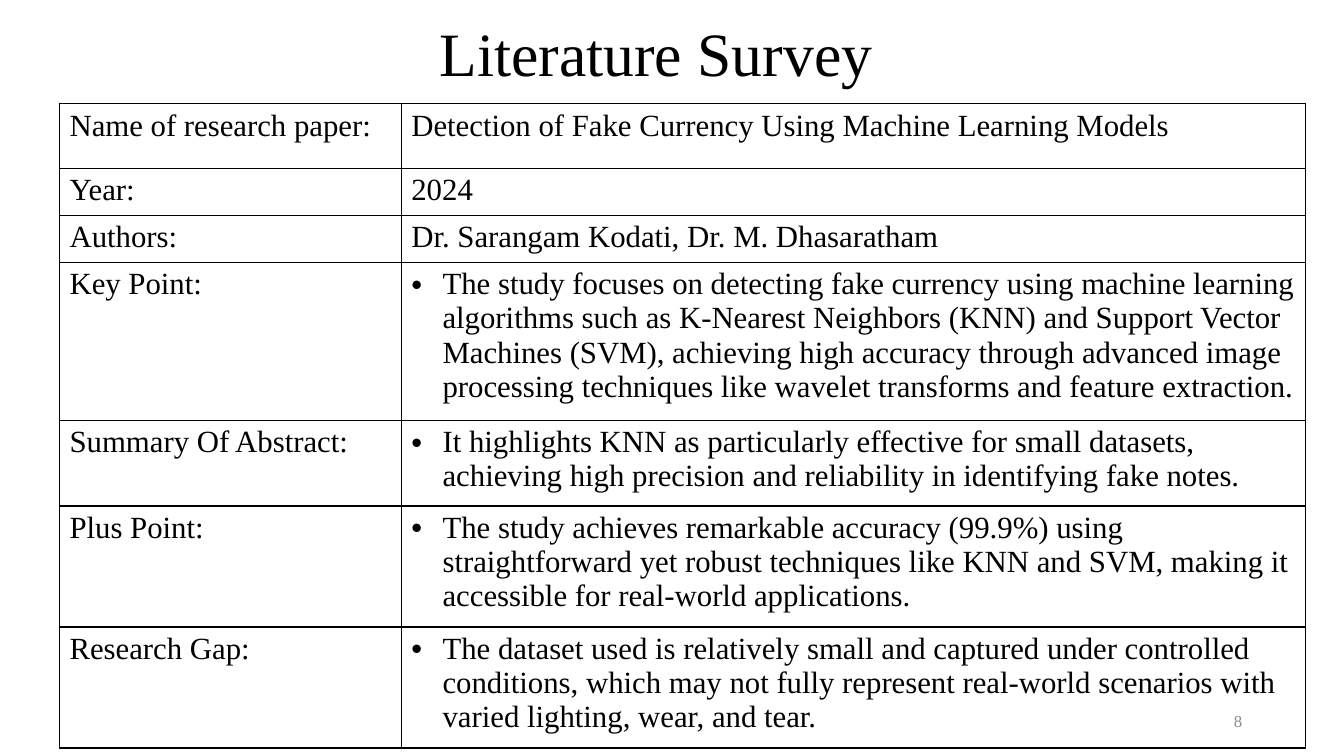
import pptx
import pptx.dml.color
import pptx.enum.text
import pptx.oxml.ns
import pptx.util
from lxml import etree

Inches = pptx.util.Inches
ALIGN = pptx.enum.text.PP_ALIGN
COLUMN_WIDTHS = [3.39, 8.97]
BULLET_INDENT = 0.31

SURVEY_ROWS = [
    (0.64, "Name of research paper:", "Detection of Fake Currency Using Machine Learning Models", False),
    (0.46, "Year:", "2024", False),
    (0.46, "Authors:", "Dr. Sarangam Kodati, Dr. M. Dhasaratham", False),
    (1.54, "Key Point:",
     "The study focuses on detecting fake currency using machine learning algorithms such as "
     "K-Nearest Neighbors (KNN) and Support Vector Machines (SVM), achieving high accuracy through "
     "advanced image processing techniques like wavelet transforms and feature extraction.", True),
    (0.85, "Summary Of Abstract:",
     "It highlights KNN as particularly effective for small datasets, achieving high precision and "
     "reliability in identifying fake notes.", True),
    (1.18, "Plus Point:",
     "The study achieves remarkable accuracy (99.9%) using straightforward yet robust techniques "
     "like KNN and SVM, making it accessible for real-world applications.", True),
    (1.18, "Research Gap:",
     "The dataset used is relatively small and captured under controlled conditions, which may not "
     "fully represent real-world scenarios with varied lighting, wear, and tear.", True),
]


def color(value):
    return pptx.dml.color.RGBColor.from_string(value)


def add_element(parent, tag, **attributes):
    return etree.SubElement(parent, pptx.oxml.ns.qn(tag), attributes)


class SlideBuilder:
    font_name = "Times New Roman"
    ink = "000000"

    def __init__(self, slide):
        self.slide = slide

    def style(self, paragraph, size, ink):
        for run in paragraph.runs:
            run.font.name = self.font_name
            run.font.size = pptx.util.Pt(size)
            run.font.color.rgb = color(ink)

    def text(self, content, left, top, width, height, size, align, ink=ink, spacing=1.0):
        shape = self.slide.shapes.add_textbox(Inches(left), Inches(top), Inches(width), Inches(height))
        frame = shape.text_frame
        frame.word_wrap = True
        frame.vertical_anchor = pptx.enum.text.MSO_ANCHOR.MIDDLE
        frame.text = content
        paragraph = frame.paragraphs[0]
        paragraph.alignment = align
        paragraph.line_spacing = spacing
        self.style(paragraph, size, ink)

    def bullet(self, paragraph):
        properties = paragraph._p.get_or_add_pPr()
        properties.set("marL", str(Inches(BULLET_INDENT)))
        properties.set("indent", str(-Inches(BULLET_INDENT)))
        add_element(properties, "a:buFont", typeface="Arial")
        add_element(properties, "a:buChar", char="•")

    def borders(self, cell):
        properties = cell._tc.get_or_add_tcPr()
        for position, side in enumerate(("a:lnL", "a:lnR", "a:lnT", "a:lnB")):
            line = add_element(properties, side, w=str(pptx.util.Pt(1)))
            fill = add_element(line, "a:solidFill")
            add_element(fill, "a:srgbClr", val=self.ink)
            properties.insert(position, line)

    def cell(self, cell, content, bulleted):
        cell.fill.background()
        self.borders(cell)
        cell.text_frame.text = content
        paragraph = cell.text_frame.paragraphs[0]
        if bulleted:
            self.bullet(paragraph)
        self.style(paragraph, 22, self.ink)

    def table(self, rows, left, top):
        height = sum(row[0] for row in rows)
        frame = self.slide.shapes.add_table(
            len(rows), len(COLUMN_WIDTHS), Inches(left), Inches(top),
            Inches(sum(COLUMN_WIDTHS)), Inches(height))
        table = frame.table
        table.first_row = False
        table.horz_banding = False
        for column, width in zip(table.columns, COLUMN_WIDTHS):
            column.width = Inches(width)
        for index, (row_height, label, detail, bulleted) in enumerate(rows):
            table.rows[index].height = Inches(row_height)
            self.cell(table.cell(index, 0), label, False)
            self.cell(table.cell(index, 1), detail, bulleted)


def main():
    presentation = pptx.Presentation()
    presentation.slide_width = Inches(13.33)
    presentation.slide_height = Inches(7.5)
    builder = SlideBuilder(presentation.slides.add_slide(presentation.slide_layouts[6]))
    builder.text("Literature Survey", 0.76, -0.32, 11.5, 1.77, 44, ALIGN.CENTER, spacing=0.9)
    builder.text("8", 9.42, 6.95, 3, 0.4, 12, ALIGN.RIGHT, ink="8C8C8C")
    builder.table(SURVEY_ROWS, 0.59, 1.03)
    presentation.save("out.pptx")


if __name__ == "__main__":
    main()
